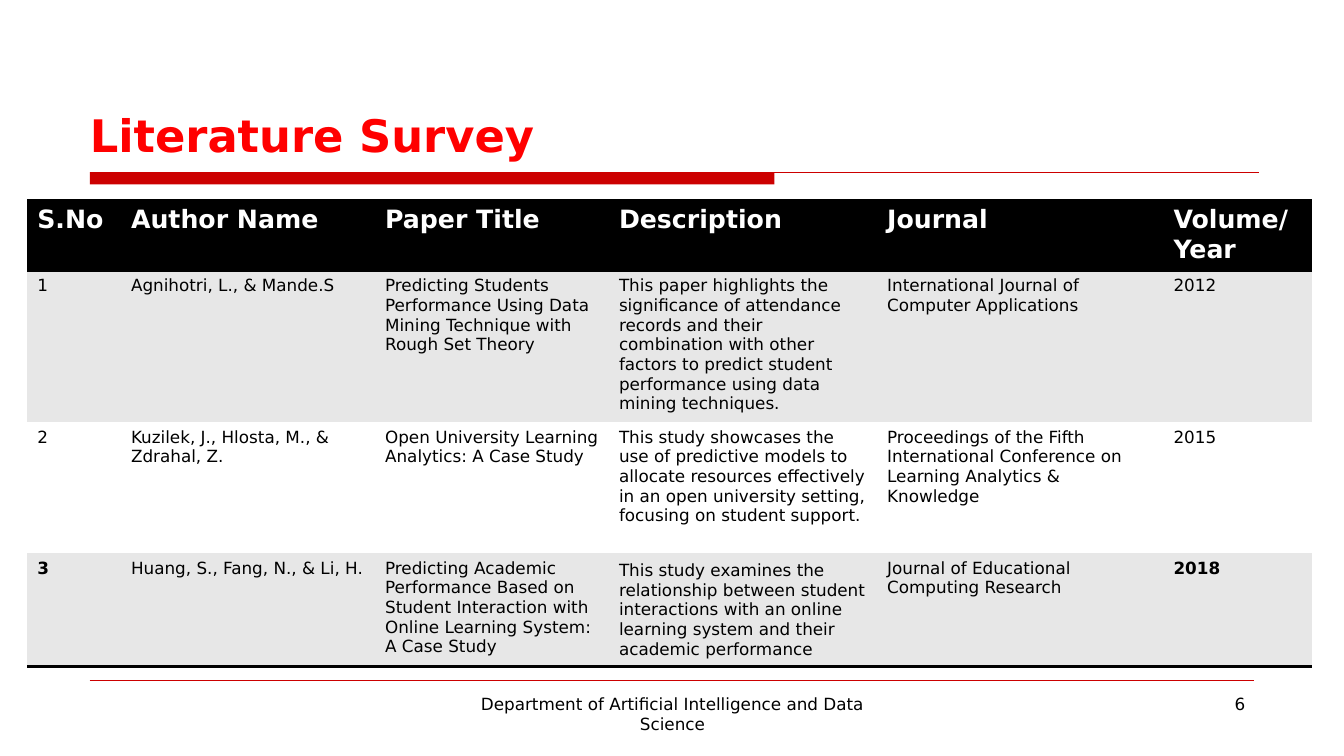
from lxml import etree
from pptx import Presentation
from pptx.dml.color import RGBColor
from pptx.enum.shapes import MSO_CONNECTOR, MSO_SHAPE
from pptx.enum.text import MSO_ANCHOR, MSO_AUTO_SIZE, PP_ALIGN
from pptx.oxml.ns import qn
from pptx.util import Inches, Pt

TITLE_ONLY_LAYOUT = 5
STRAIGHT = MSO_CONNECTOR.STRAIGHT
RECTANGLE = MSO_SHAPE.RECTANGLE
TOP, MIDDLE = MSO_ANCHOR.TOP, MSO_ANCHOR.MIDDLE
LEFT, CENTER, RIGHT = PP_ALIGN.LEFT, PP_ALIGN.CENTER, PP_ALIGN.RIGHT

FONT = "DejaVu Sans"
PLAIN_TABLE_STYLE = "{2D5ABB26-0587-4C30-8999-92F81FD0307C}"
COLORS = {
    "title": "FF0000",
    "rule": "CC0000",
    "text": "000000",
    "header": "000000",
    "header_text": "FFFFFF",
    "odd_row": "E7E7E7",
    "even_row": "FFFFFF",
    "border": "000000",
}

COLUMN_WIDTHS = [0.93, 2.52, 2.32, 2.66, 2.84, 1.47]
ROW_HEIGHTS = [0.7, 1.47, 1.3, 1.12]
SURVEY = [
    ["S.No", "Author Name", "Paper Title", "Description", "Journal", "Volume/\nYear"],
    ["1", "Agnihotri, L., & Mande.S",
     "Predicting Students Performance Using Data Mining Technique with Rough Set Theory",
     "This paper highlights the significance of attendance records and their combination "
     "with other factors to predict student performance using data mining techniques.",
     "International Journal of Computer Applications", "2012"],
    ["2", "Kuzilek, J., Hlosta, M., & Zdrahal, Z.",
     "Open University Learning Analytics: A Case Study",
     "This study showcases the use of predictive models to allocate resources effectively "
     "in an open university setting, focusing on student support.",
     "Proceedings of the Fifth International Conference on Learning Analytics & Knowledge",
     "2015"],
    ["3", "Huang, S., Fang, N., & Li, H.",
     "Predicting Academic Performance Based on Student Interaction with Online Learning "
     "System: A Case Study",
     "This study examines the relationship between student interactions with an online "
     "learning system and their academic performance",
     "Journal of Educational Computing Research", "2018"],
]
LAST_ROW = len(SURVEY) - 1
BOLD_CELLS = {(3, 0), (3, 5)}
MIDDLE_CELLS = {(3, 3)}


def color(name):
    return RGBColor.from_string(COLORS[name])


def write(text_frame, text, size, color_name, bold=False, align=LEFT):
    text_frame.text = text
    for paragraph in text_frame.paragraphs:
        paragraph.alignment = align
        for run in paragraph.runs:
            run.font.name = FONT
            run.font.size = Pt(size)
            run.font.bold = bold
            run.font.color.rgb = color(color_name)


def add_rule(slide, left, top, width, weight):
    line = slide.shapes.add_connector(
        STRAIGHT, Inches(left), Inches(top), Inches(left + width), Inches(top))
    line.line.color.rgb = color("rule")
    line.line.width = Pt(weight)
    etree.SubElement(line._element.spPr, qn("a:effectLst"))


def add_title(slide, left, top, width, height):
    title = slide.shapes.title
    title.left, title.top = Inches(left), Inches(top)
    title.width, title.height = Inches(width), Inches(height)
    text_frame = title.text_frame
    text_frame.auto_size = MSO_AUTO_SIZE.NONE
    text_frame.vertical_anchor = TOP
    text_frame.margin_left = Inches(0.25)
    write(text_frame, "Literature Survey", 32, "title", bold=True)


def add_title_rule(slide, left, top, width):
    add_rule(slide, left, top, width, 0.75)
    bar = slide.shapes.add_shape(
        RECTANGLE, Inches(left), Inches(top), Inches(6.79), Inches(0.12))
    bar.shadow.inherit = False
    bar.fill.solid()
    bar.fill.fore_color.rgb = color("rule")
    bar.line.fill.background()


def add_border(cell, side):
    properties = cell._tc.get_or_add_tcPr()
    line = etree.SubElement(properties, qn(f"a:ln{side}"), w=str(Pt(2)))
    fill = etree.SubElement(line, qn("a:solidFill"))
    etree.SubElement(fill, qn("a:srgbClr"), val=COLORS["border"])


def add_survey_table(slide, left, top):
    frame = slide.shapes.add_table(
        len(SURVEY), len(COLUMN_WIDTHS), Inches(left), Inches(top),
        Inches(sum(COLUMN_WIDTHS)), Inches(sum(ROW_HEIGHTS)))
    table = frame.table
    table._tbl.tblPr.find(qn("a:tableStyleId")).text = PLAIN_TABLE_STYLE
    for column, width in zip(table.columns, COLUMN_WIDTHS):
        column.width = Inches(width)
    for row, height in zip(table.rows, ROW_HEIGHTS):
        row.height = Inches(height)

    for row_index, row_texts in enumerate(SURVEY):
        is_header = row_index == 0
        if is_header:
            fill_name, sides = "header", "TB"
        else:
            fill_name = "odd_row" if row_index % 2 else "even_row"
            sides = "B" if row_index == LAST_ROW else ""
        for column_index, text in enumerate(row_texts):
            position = (row_index, column_index)
            cell = table.cell(*position)
            for side in sides:
                add_border(cell, side)
            cell.fill.solid()
            cell.fill.fore_color.rgb = color(fill_name)
            cell.vertical_anchor = MIDDLE if position in MIDDLE_CELLS else TOP
            write(cell.text_frame, text, 18 if is_header else 12,
                  "header_text" if is_header else "text",
                  bold=is_header or position in BOLD_CELLS)


def add_footer(slide, left, top, width):
    add_rule(slide, left, top, width, 0.25)
    # Department in the middle, page number at the right end
    for text, offset, box_width, align in [
        ("Department of Artificial Intelligence and Data Science", 3.67, 4.22, CENTER),
        ("6", 8.67, 2.89, RIGHT),
    ]:
        box = slide.shapes.add_textbox(
            Inches(left + offset), Inches(top + 0.08), Inches(box_width), Inches(0.52))
        box.text_frame.word_wrap = True
        write(box.text_frame, text, 12, "text", align=align)


def main():
    presentation = Presentation()
    presentation.slide_width = Inches(13.33)
    presentation.slide_height = Inches(7.5)
    slide = presentation.slides.add_slide(presentation.slide_layouts[TITLE_ONLY_LAYOUT])
    add_title_rule(slide, 0.89, 1.71, 11.6)
    add_footer(slide, 0.89, 6.75, 11.55)
    add_title(slide, 0.64, 1.02, 11.67, 1.33)
    add_survey_table(slide, 0.27, 1.99)
    presentation.save("out.pptx")


if __name__ == "__main__":
    main()
